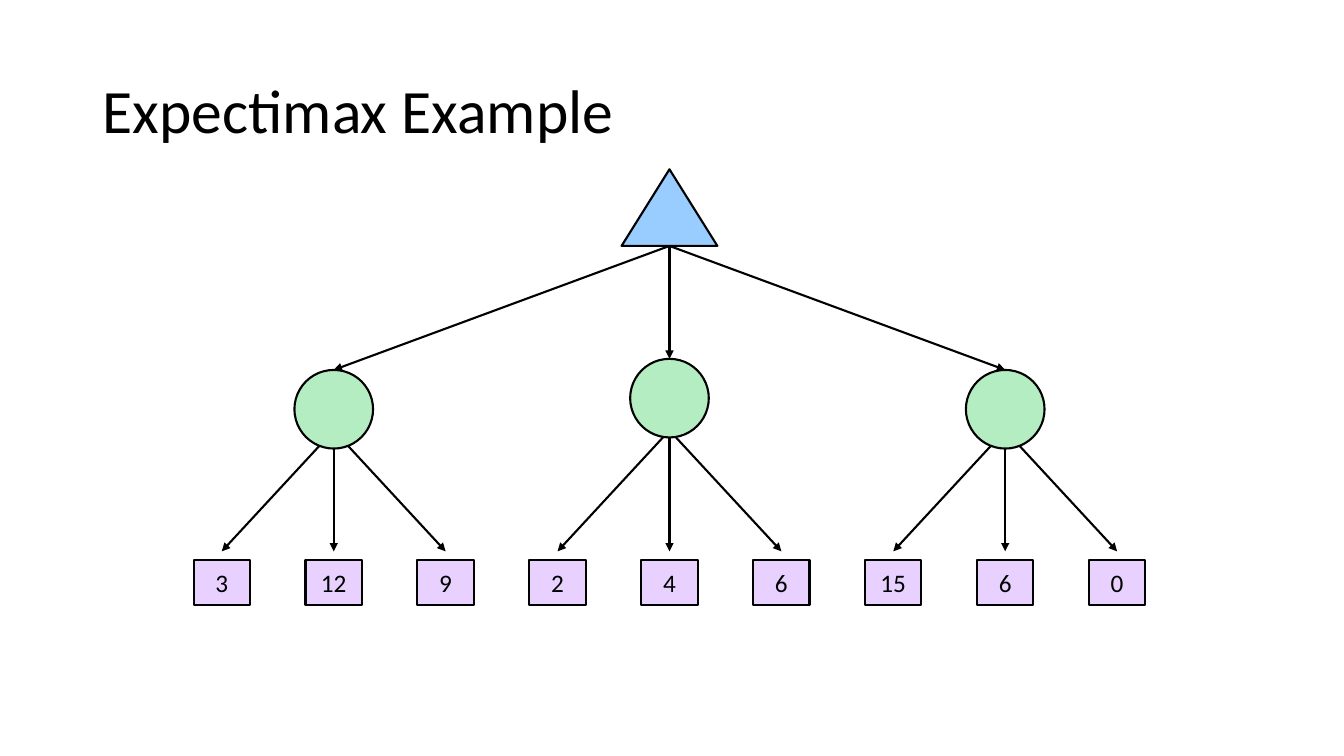
from lxml.etree import SubElement
from pptx import Presentation
from pptx.dml.color import RGBColor
from pptx.enum.shapes import MSO_CONNECTOR, MSO_SHAPE
from pptx.enum.text import MSO_ANCHOR, PP_ALIGN
from pptx.oxml.ns import qn
from pptx.util import Inches, Pt

COLORS = {"ink": "000000", "max": "99CCFF", "chance": "B5EDC2", "leaf": "E8D1FF"}
RGB = {name: RGBColor.from_string(value) for name, value in COLORS.items()}

CENTER, COL = 6.64, 1.11  # middle of the tree, distance between leaves
ROOT_W, ROOT_H, ROOT_TOP = 0.95, 0.76, 1.68
CHANCE_D = 0.78
LEAF_W, LEAF_H, LEAF_TOP = 0.56, 0.44, 5.56
FORK_Y, TIP_Y = 4.27, 5.47

# top of each chance node and the values below it
BRANCHES = [(3.67, (3, 12, 9)), (3.56, (2, 4, 6)), (3.67, (15, 6, 0))]

prs = Presentation()
prs.slide_width, prs.slide_height = Inches(13.33), Inches(7.5)
s = prs.slides.add_slide(prs.slide_layouts[5])


def add_node(kind, x, top, w, h, color):
    """Add an outlined tree node centred on x."""
    sp = s.shapes.add_shape(kind, Inches(x - w / 2), Inches(top), Inches(w), Inches(h))
    sp.shadow.inherit = False
    sp.fill.solid()
    sp.fill.fore_color.rgb = RGB[color]
    sp.line.color.rgb = RGB["ink"]
    sp.line.width = Pt(1.5)
    return sp


def add_arrow(x1, y1, x2, y2):
    cx = s.shapes.add_connector(
        MSO_CONNECTOR.STRAIGHT, Inches(x1), Inches(y1), Inches(x2), Inches(y2))
    cx.line.color.rgb = RGB["ink"]
    cx.line.width = Pt(1.5)
    SubElement(cx.line._get_or_add_ln(), qn("a:tailEnd"), type="triangle")
    SubElement(cx._element.spPr, qn("a:effectLst"))
    return cx


title = s.shapes.title
title.left, title.top = Inches(0.92), Inches(0.4)
title.width, title.height = Inches(11.5), Inches(1.45)
tf = title.text_frame
tf.text = "Expectimax Example"
tf.vertical_anchor = MSO_ANCHOR.MIDDLE
p = tf.paragraphs[0]
p.alignment = PP_ALIGN.LEFT
p.line_spacing = 0.9
p.font.size = Pt(44)
p.font.name = "Calibri"
p.font.color.rgb = RGB["ink"]

add_node(MSO_SHAPE.ISOSCELES_TRIANGLE, CENTER, ROOT_TOP, ROOT_W, ROOT_H, "max")

for i, (chance_top, values) in enumerate(BRANCHES):
    x = CENTER + (i - 1) * 3 * COL
    for j, value in enumerate(values):
        leaf_x = x + (j - 1) * COL
        add_arrow(x, FORK_Y, leaf_x, TIP_Y)
        leaf = add_node(MSO_SHAPE.RECTANGLE, leaf_x, LEAF_TOP, LEAF_W, LEAF_H, "leaf")
        tf = leaf.text_frame
        tf.text = str(value)
        tf.word_wrap = False
        tf.vertical_anchor = MSO_ANCHOR.MIDDLE
        p = tf.paragraphs[0]
        p.alignment = PP_ALIGN.CENTER
        p.font.size = Pt(18)
        p.font.name = "Calibri"
        p.font.color.rgb = RGB["ink"]
    chance = add_node(MSO_SHAPE.OVAL, x, chance_top, CHANCE_D, CHANCE_D, "chance")
    add_arrow(CENTER, ROOT_TOP + ROOT_H, x, chance_top).end_connect(chance, 0)

prs.save("out.pptx")
